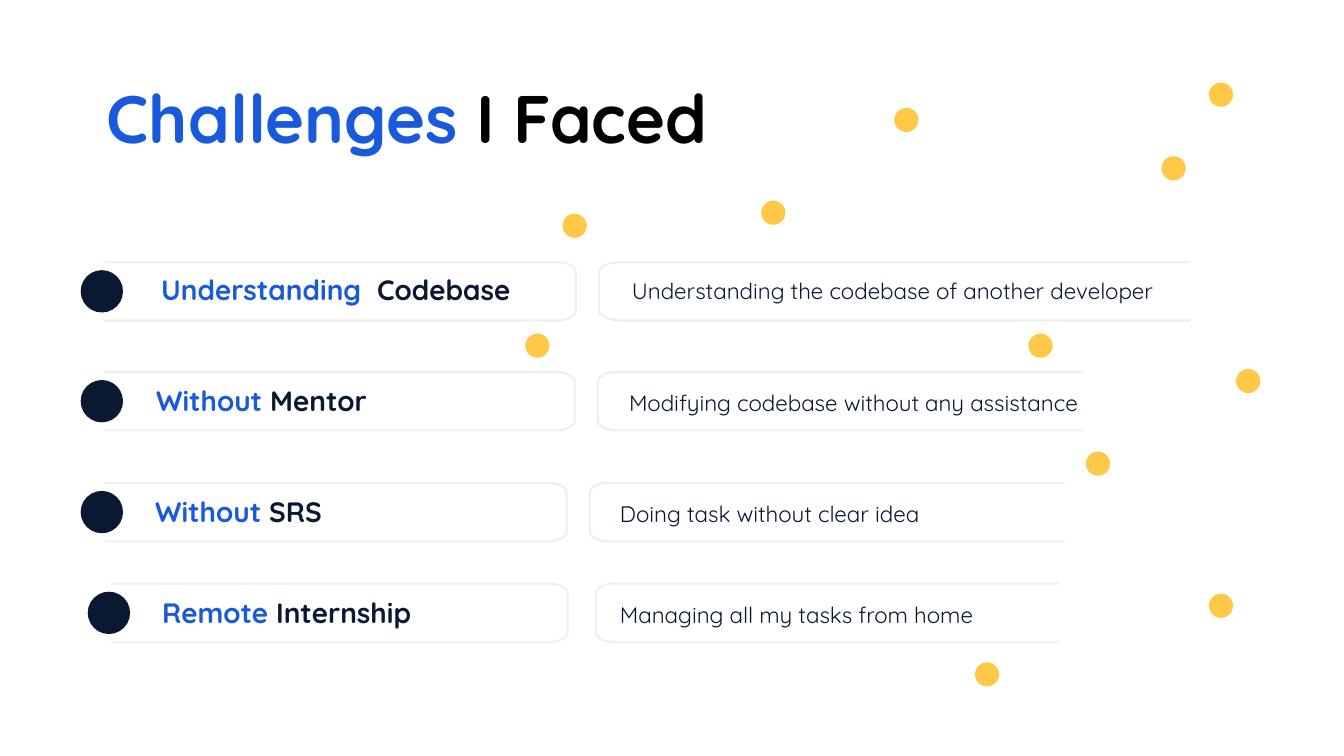
from math import cos, pi, sin

from pptx import Presentation
from pptx.dml.color import RGBColor
from pptx.enum.shapes import MSO_SHAPE
from pptx.enum.text import MSO_ANCHOR, MSO_AUTO_SIZE, PP_ALIGN
from pptx.util import Inches, Pt

BLUE = RGBColor(0x18, 0x5A, 0xDB)
NAVY = RGBColor(0x0A, 0x19, 0x31)
BLACK = RGBColor(0x00, 0x00, 0x00)
YELLOW = RGBColor(0xFF, 0xC9, 0x47)
PALE_GREY = RGBColor(0xEF, 0xEF, 0xEF)
OVAL = MSO_SHAPE.OVAL
TOP = MSO_ANCHOR.TOP
LEFT = PP_ALIGN.LEFT
FIXED = MSO_AUTO_SIZE.NONE

FONT = "Quicksand"
ROW_HEIGHT = 0.58
CORNER_HEIGHT = 0.1
CORNER_STEPS = 8
BULLET_SIZE = 0.42
DOT_SIZE = 0.24

prs = Presentation()
prs.slide_width = Inches(13.33)
prs.slide_height = Inches(7.5)
slide = prs.slides.add_slide(prs.slide_layouts[5])
shapes = slide.shapes


def write(box, runs, size, bold=False):
    frame = box.text_frame
    frame.word_wrap = True
    frame.auto_size = FIXED
    frame.vertical_anchor = TOP
    paragraph = frame.paragraphs[0]
    paragraph.alignment = LEFT
    for text, color in runs:
        run = paragraph.add_run()
        run.text = text
        run.font.name = FONT
        run.font.size = Pt(size)
        run.font.bold = bold
        run.font.color.rgb = color


def add_circle(center_x, center_y, size, color):
    circle = shapes.add_shape(
        OVAL, Inches(center_x - size / 2), Inches(center_y - size / 2),
        Inches(size), Inches(size))
    circle.shadow.inherit = False
    circle.fill.solid()
    circle.fill.fore_color.rgb = color
    circle.line.fill.background()


title = shapes.title
title.left, title.top = Inches(0.96), Inches(0.71)
title.width, title.height = Inches(7.17), Inches(0.91)
write(title, [("Challenges", BLUE), (" I Faced", BLACK)], size=48, bold=True)

# row top, (open end, closed end, corner width) per bracket, (left, top, width) per text
challenges = [
    (2.6, (1.03, 5.71, 0.18), (11.81, 5.94, 0.23), (1.5, 2.65, 3.86), (6.17, 2.7, 6),
     "Understanding ", " Codebase", "Understanding the codebase of another developer"),
    (3.69, (1.03, 5.7, 0.18), (10.75, 5.93, 0.19), (1.45, 3.76, 4.3), (6.14, 3.81, 4.92),
     "Without", " Mentor", "Modifying codebase without any assistance"),
    (4.79, (1.03, 5.62, 0.18), (10.56, 5.85, 0.19), (1.44, 4.86, 4.22), (6.05, 4.91, 4.84),
     "Without", " SRS", "Doing task without clear idea"),
    (5.79, (1.1, 5.63, 0.18), (10.5, 5.91, 0.18), (1.51, 5.86, 4.16), (6.05, 5.91, 4.76),
     "Remote", " Internship", "Managing all my tasks from home"),
]

for row_top, name_bracket, detail_bracket, name_at, detail_at, lead, rest, detail in challenges:
    row_bottom = row_top + ROW_HEIGHT
    for open_x, closed_x, corner_width in (name_bracket, detail_bracket):
        inward = corner_width if open_x > closed_x else -corner_width
        upper_corner = []
        for step in range(CORNER_STEPS + 1):
            angle = pi / 2 * step / CORNER_STEPS
            upper_corner.append((closed_x + inward * (1 - sin(angle)),
                                 row_top + CORNER_HEIGHT * (1 - cos(angle))))
        lower_corner = [(x, row_top + row_bottom - y) for x, y in reversed(upper_corner)]
        outline = upper_corner + lower_corner + [(open_x, row_bottom)]
        builder = shapes.build_freeform(Inches(open_x), Inches(row_top))
        builder.add_line_segments([(Inches(x), Inches(y)) for x, y in outline], close=False)
        bracket = builder.convert_to_shape()
        bracket.shadow.inherit = False
        bracket.fill.background()
        bracket.line.color.rgb = PALE_GREY
        bracket.line.width = Pt(1.5)

    for (left, top, width), height, runs, size, bold in (
        (name_at, 0.44, [(lead, BLUE), (rest, NAVY)], 20, True),
        (detail_at, 0.37, [(detail, NAVY)], 16, False),
    ):
        box = shapes.add_textbox(Inches(left), Inches(top), Inches(width), Inches(height))
        write(box, runs, size=size, bold=bold)

    add_circle(name_bracket[0] - 0.02, row_top + ROW_HEIGHT / 2, BULLET_SIZE, NAVY)

dot_centers = [
    (12.38, 3.78), (9.79, 6.69), (10.89, 4.6), (5.33, 3.43), (5.7, 2.24), (8.99, 1.19),
    (11.64, 1.67), (12.11, 0.94), (10.32, 3.43), (7.67, 2.11), (12.11, 6.01),
]
for center_x, center_y in dot_centers:
    add_circle(center_x, center_y, DOT_SIZE, YELLOW)

prs.save("out.pptx")
